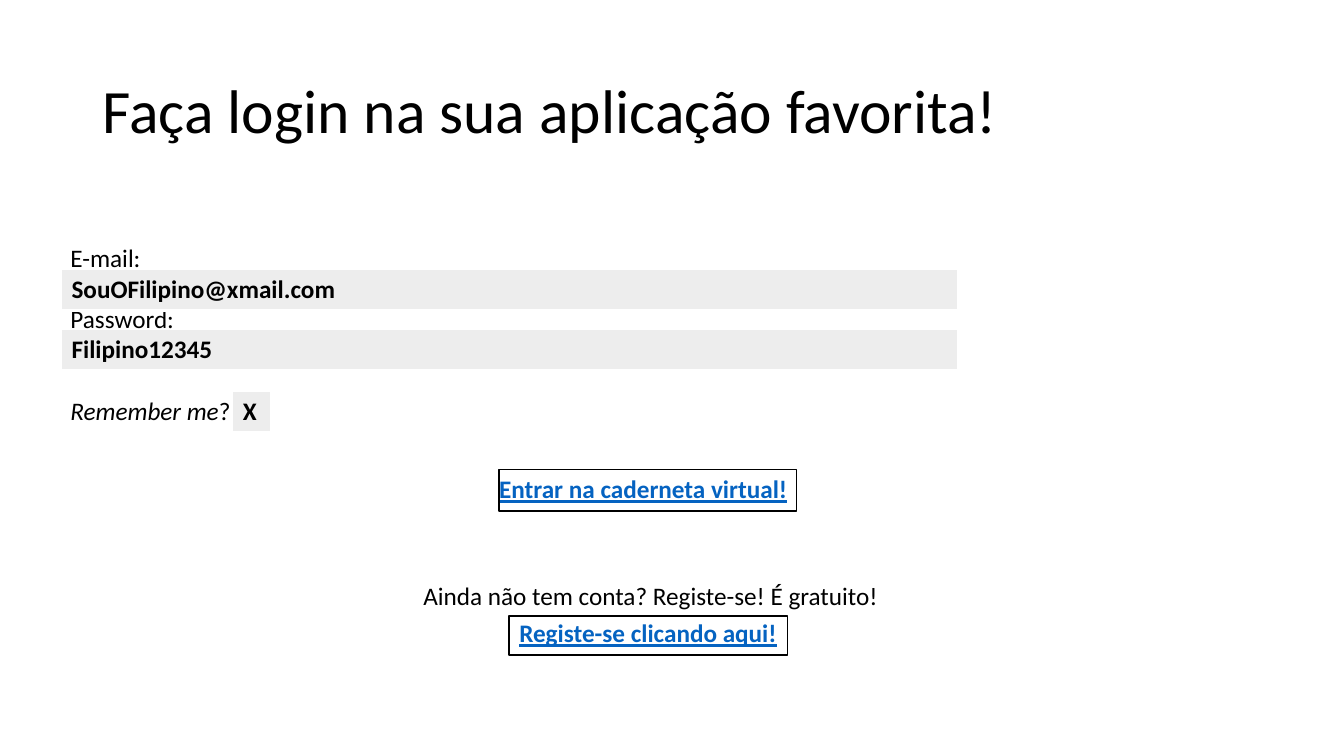
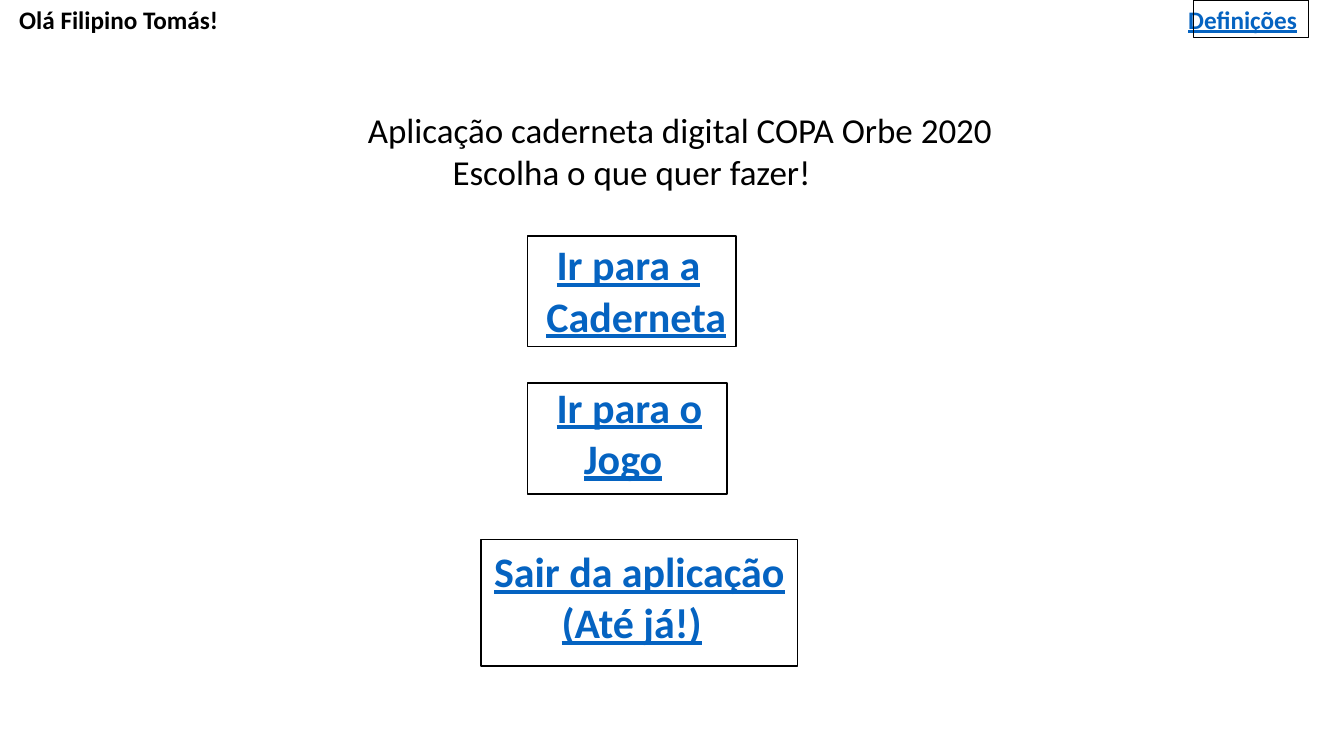
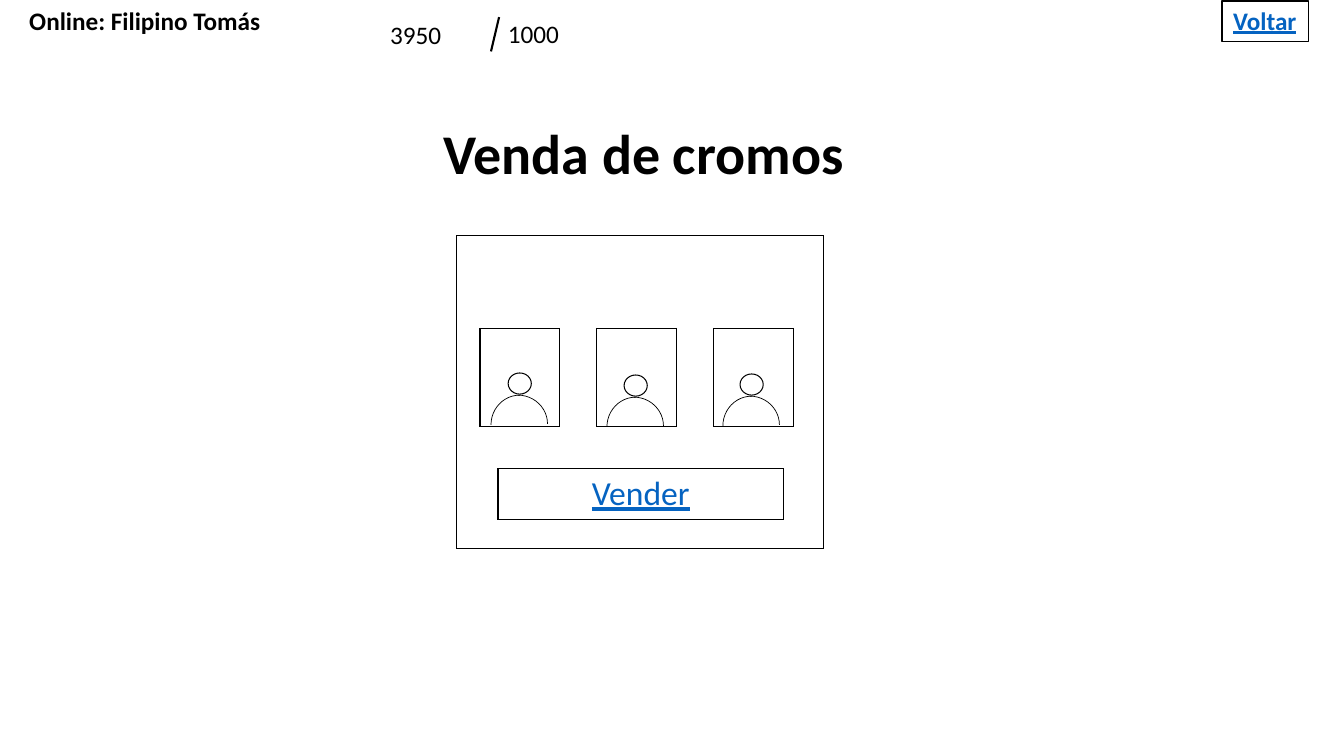
from lxml import etree
from pptx import Presentation
from pptx import util as u
from pptx.dml.color import RGBColor
from pptx.enum import shapes, text
from pptx.oxml import ns

INK, LINK, WHITE, FIELD = "000000", "0563C1", "FFFFFF", "EDEDED"
FONT = "Calibri"
PALE = {"L": (WHITE, 1), "R": (WHITE, 1), "T": (WHITE, 1), "B": (WHITE, 3)}
DARK = dict.fromkeys("LRTB", (INK, 1))
KIND = shapes.MSO_SHAPE


def paint(color, hue):
    """Set a colour from a hex string."""
    color.rgb = RGBColor.from_string(hue)


def write(frame, words, size=18, hue=INK, bold=False, link=False, left=0, center=False, pitch=None):
    """Add a paragraph to a frame, with words between asterisks in italics."""
    first = frame.paragraphs[0]
    para = frame.add_paragraph() if first.runs else first
    if left:
        para._p.get_or_add_pPr().set("marL", str(u.Inches(left)))
    if center:
        para.alignment = text.PP_ALIGN.CENTER
    if pitch:
        para.line_spacing = pitch
    for index, part in enumerate(words.split("*")):
        if part:
            run = para.add_run()
            run.text = part
            font = run.font
            font.name, font.size, font.bold = FONT, u.Pt(size), bold
            font.italic, font.underline = index % 2 == 1, link
            paint(font.color, LINK if link else hue)


def label(slide, box, *lines, middle=False, **fmt):
    """Add a text box whose lines are pairs of words and indent."""
    frame = slide.shapes.add_textbox(*map(u.Inches, box)).text_frame
    frame.word_wrap = True
    if middle:
        frame.vertical_anchor = text.MSO_ANCHOR.MIDDLE
    for words, left in lines:
        write(frame, words, left=left, **fmt)


def edge(cell, sides):
    """Draw the borders of a cell."""
    props = cell._tc.get_or_add_tcPr()
    for side, (hue, width) in sides.items():
        line = etree.SubElement(props, ns.qn("a:ln" + side), w=str(u.Pt(width)))
        fill = etree.SubElement(line, ns.qn("a:solidFill"))
        etree.SubElement(fill, ns.qn("a:srgbClr"), val=hue)


def grid(slide, box, *cells, sides=PALE, fill=WHITE, **fmt):
    """Add a one-row table whose cells hold pairs of words and indent."""
    table = slide.shapes.add_table(1, len(cells), *map(u.Inches, box)).table
    table.first_row = table.horz_banding = False
    for cell, lines in zip(table.iter_cells(), cells):
        edge(cell, sides)
        if fill:
            cell.fill.solid()
            paint(cell.fill.fore_color, fill)
        else:
            cell.fill.background()
        for words, left, *link in lines:
            write(cell.text_frame, words, left=left, **{**fmt, **dict(zip(["link"], link))})


def shape(slide, kind, box, width=1, turn=0):
    """Add an unfilled outline."""
    item = slide.shapes.add_shape(kind, *map(u.Inches, box))
    item.shadow.inherit = False
    item.fill.background()
    paint(item.line.color, INK)
    item.line.width = u.Pt(width)
    item.rotation = turn


def slash(slide, *ends):
    """Draw a straight line between two points."""
    line = slide.shapes.add_connector(shapes.MSO_CONNECTOR.STRAIGHT, *map(u.Inches, ends))
    paint(line.line.color, INK)
    line.line.width = u.Pt(1.5)
    etree.SubElement(line._element.spPr, ns.qn("a:effectLst"))


def person(slide, left, top):
    """Draw a head over two quarter arcs."""
    shape(slide, KIND.ARC, (left, top, 0.59, 0.57), 0.5)
    shape(slide, KIND.ARC, (left + 0.02, top + 0.01, 0.59, 0.57), 0.5, 270)
    shape(slide, KIND.FLOWCHART_CONNECTOR, (left + 0.2, top - 0.22, 0.23, 0.21), 0.75)


def login(slide):
    """Build the login screen."""
    label(slide, (0.92, 0.4, 11.5, 1.45), ("Faça login na sua aplicação favorita!", 0),
          size=44, middle=True, pitch=0.9)
    for words, left, row in (("E-mail:", 0.6, 0), ("Password:", 0.6, 2), ("*Remember me*?", 0.6, 5),
                             ("Ainda não tem conta? Registe-se! É gratuito!", 4.1, 11)):
        label(slide, (left, 2.35 + row * 0.305, 6, 0.4), (words, 0))
    for words, left, top, width in (("SouOFilipino@xmail.com", 0.61, 2.67, 8.89),
                                    ("Filipino12345", 0.61, 3.27, 8.89), ("X", 2.31, 3.88, 0.37)):
        grid(slide, (left, top, width, 0.41), [(words, 0)], fill=FIELD, bold=True)
    grid(slide, (5.05, 6.09, 2.88, 0.41), [("Registe-se clicando aqui!", 0)], bold=True, link=True)
    grid(slide, (2.31, 4.66, 8.89, 0.41), [("Entrar na caderneta virtual!", 2.54)], bold=True, link=True)
    shape(slide, KIND.RECTANGLE, (4.95, 4.66, 2.95, 0.41))
    shape(slide, KIND.RECTANGLE, (5.05, 6.11, 2.76, 0.39))


def menu(slide):
    """Build the main menu."""
    grid(slide, (0.09, 0, 13.13, 0.41), [("Olá Filipino Tomás!", 0)],
         [("Definições", 5.03, True)], bold=True)
    label(slide, (2.39, 1.03, 9, 0.94), ("Aplicação caderneta digital COPA Orbe 2020", 1.16),
          ("Escolha o que quer fazer!", 2), size=25)
    for left, top, high, lines, frame in (
            (3.62, 2.34, 1.1, [("Ir para a", 1.8), ("Caderneta", 1.7)], (5.23, 2.34, 2.07, 1.1)),
            (3.62, 3.75, 1.1, [("Ir para o", 1.8), ("Jogo", 2.07)], (5.23, 3.8, 1.98, 1.1)),
            (3.39, 5.38, 1.6, [("Sair da aplicação", 1.41), ("(Até já!)", 2.08)],
             (4.77, 5.35, 3.14, 1.26))):
        grid(slide, (left, top, 5.67, high), lines, size=30, bold=True, link=True)
        shape(slide, KIND.RECTANGLE, frame)
    shape(slide, KIND.RECTANGLE, (11.84, 0, 1.14, 0.37))


def sale(slide):
    """Build the sticker sale screen."""
    grid(slide, (0.13, 0.01, 2.6, 0.41), [("Online: Filipino Tomás", 0.06)], bold=True)
    label(slide, (3.38, 0.14, 1.67, 0.4), ("3950", 0.39))
    label(slide, (4.88, 0.13, 1.78, 0.4), ("1000", 0.06))
    slash(slide, 4.87, 0.51, 4.95, 0.17)
    grid(slide, (12.13, 0.01, 0.97, 0.41), [("Voltar", 0)], sides={}, fill=None, bold=True, link=True)
    shape(slide, KIND.RECTANGLE, (12.12, 0.01, 0.86, 0.4))
    label(slide, (4.3, 1.13, 4.71, 0.77), ("Venda de cromos", 0), size=40, bold=True)
    grid(slide, (4.53, 2.34, 3.64, 3.1), [], sides=DARK, fill=None)
    for index, drop in enumerate((0, 0.02, 0.01)):
        grid(slide, (4.76 + index * 1.16, 3.26, 0.79, 0.97), [], sides=DARK, fill=None)
        person(slide, 4.84 + index * 1.15, 3.92 + drop)
    grid(slide, (4.94, 4.65, 2.83, 0.5), [("Vender", 0)], sides=DARK, fill=None,
         size=24, link=True, center=True)


def main():
    """Build and save the deck."""
    deck = Presentation()
    deck.slide_width, deck.slide_height = u.Inches(13.33), u.Inches(7.5)
    for build in (login, menu, sale):
        build(deck.slides.add_slide(deck.slide_layouts[6]))
    deck.save("out.pptx")


if __name__ == "__main__":
    main()
